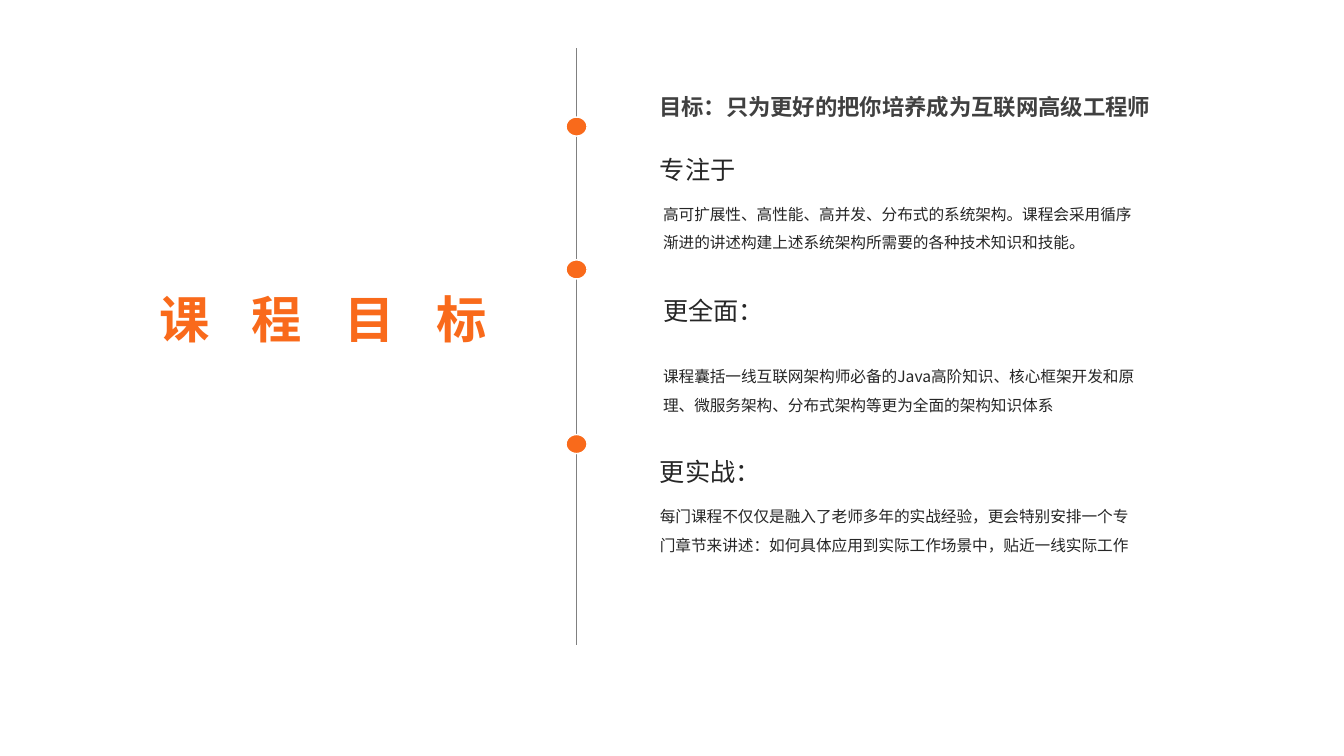
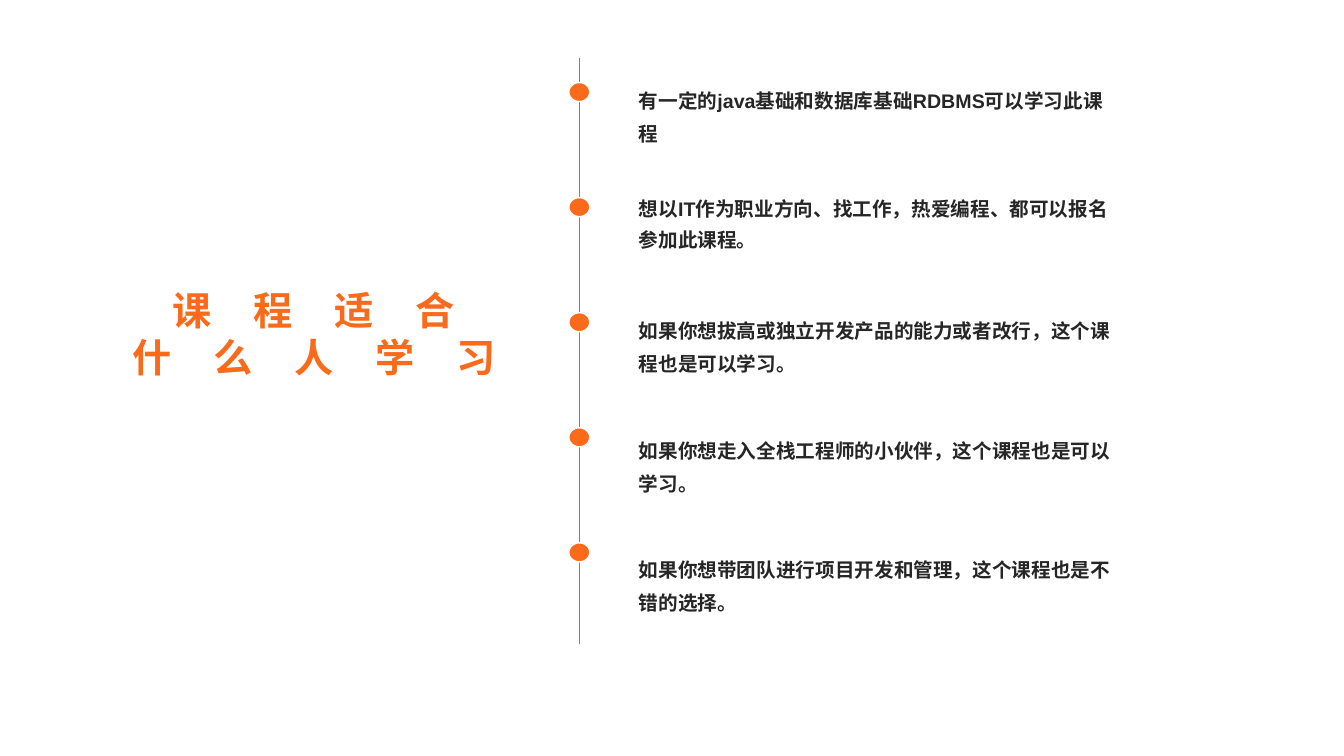
from dataclasses import dataclass

from lxml import etree
from pptx import Presentation
from pptx.dml.color import RGBColor
from pptx.enum.shapes import MSO_CONNECTOR, MSO_SHAPE
from pptx.enum.text import MSO_ANCHOR, PP_ALIGN
from pptx.oxml.ns import qn
from pptx.slide import Slide
from pptx.util import Cm, Pt

STRAIGHT = MSO_CONNECTOR.STRAIGHT
OVAL = MSO_SHAPE.OVAL
TOP, MIDDLE = MSO_ANCHOR.TOP, MSO_ANCHOR.MIDDLE
LEFT, CENTER = PP_ALIGN.LEFT, PP_ALIGN.CENTER


@dataclass(frozen=True)
class Theme:
    accent: RGBColor = RGBColor(0xF9, 0x6A, 0x1B)
    ink: RGBColor = RGBColor(0x26, 0x26, 0x26)
    goal_ink: RGBColor = RGBColor(0x40, 0x40, 0x40)
    axis: RGBColor = RGBColor(0x80, 0x80, 0x80)
    dot_edge: RGBColor = RGBColor(0xFF, 0xFF, 0xFF)
    chinese_font: str = "Noto Sans CJK SC"
    latin_font: str = "Arial"
    title_size: float = 36
    long_title_size: float = 28
    heading_size: float = 18
    goal_size: float = 16
    audience_size: float = 14
    detail_size: float = 11.2
    title_tracking: float = 30


THEME = Theme()


@dataclass(frozen=True)
class Box:
    """Position and size in centimetres."""
    left: float
    top: float
    width: float
    height: float


@dataclass(frozen=True)
class TextStyle:
    size: float
    color: RGBColor = THEME.ink
    font: str = THEME.chinese_font
    bold: bool = False
    align: PP_ALIGN = LEFT
    anchor: MSO_ANCHOR = TOP
    tracking: float = 0


@dataclass(frozen=True)
class Topic:
    heading: str
    heading_left: float
    heading_top: float
    detail: str
    detail_left: float
    detail_top: float


@dataclass(frozen=True)
class Audience:
    text: str
    top: float
    line_spacing: float = 1.4


HEADING = TextStyle(THEME.heading_size)
DETAIL = TextStyle(THEME.detail_size)
GOAL = TextStyle(THEME.goal_size, THEME.goal_ink, bold=True)
AUDIENCE = TextStyle(THEME.audience_size, font=THEME.latin_font, bold=True)

DOT_WIDTH, DOT_HEIGHT = 0.53, 0.48
AUDIENCE_DOT_TOP, AUDIENCE_DOT_STEP = 2.08, 2.9

TOPICS = (
    Topic("专注于", 16.38, 3.76,
          "高可扩展性、高性能、高并发、分布式的系统架构。课程会采用循序渐进的讲述"
          "构建上述系统架构所需要的各种技术知识和技能。", 16.46, 4.8),
    Topic("更全面：", 16.46, 7.32,
          "课程囊括一线互联网架构师必备的Java高阶知识、核心框架开发和原理、"
          "微服务架构、分布式架构等更为全面的架构知识体系", 16.46, 8.89),
    Topic("更实战：", 16.38, 11.38,
          "每门课程不仅仅是融入了老师多年的实战经验，更会特别安排一个专门章节来讲述："
          "如何具体应用到实际工作场景中，贴近一线实际工作", 16.38, 12.42),
)

AUDIENCES = (
    Audience("有一定的java基础和数据库基础RDBMS可以学习此课程", 1.88),
    Audience("想以IT作为职业方向、找工作，热爱编程、都可以报名参加此课程。", 4.67, 1.3),
    Audience("如果你想拔高或独立开发产品的能力或者改行，这个课程也是可以学习。", 7.67),
    Audience("如果你想走入全栈工程师的小伙伴，这个课程也是可以学习。", 10.69),
    Audience("如果你想带团队进行项目开发和管理，这个课程也是不错的选择。", 13.69),
)


def add_text(slide: Slide, box: Box, text: str, style: TextStyle,
             line_spacing: float = 1.0) -> None:
    frame = slide.shapes.add_textbox(
        Cm(box.left), Cm(box.top), Cm(box.width), Cm(box.height)).text_frame
    frame.word_wrap = True
    frame.vertical_anchor = style.anchor
    frame.text = text
    for paragraph in frame.paragraphs:
        paragraph.alignment = style.align
        paragraph.line_spacing = line_spacing
        for run in paragraph.runs:
            font = run.font
            font.name = style.font
            font.size = Pt(style.size)
            font.bold = style.bold
            font.color.rgb = style.color
            properties = run._r.get_or_add_rPr()
            etree.SubElement(properties, qn("a:ea"), typeface=THEME.chinese_font)
            if style.tracking:
                properties.set("spc", str(round(style.tracking * 100)))


def add_title(slide: Slide, box: Box, text: str, size: float, font: str) -> None:
    add_text(slide, box, text, TextStyle(
        size, THEME.accent, font, True, CENTER, MIDDLE, THEME.title_tracking))


def add_timeline(slide: Slide, axis_x: float, top: float, bottom: float,
                 dot_tops: list[float]) -> None:
    """Draw a vertical axis with dots centred on it."""
    axis = slide.shapes.add_connector(
        STRAIGHT, Cm(axis_x), Cm(top), Cm(axis_x), Cm(bottom))
    axis.line.color.rgb = THEME.axis
    axis.line.width = Pt(0.5)
    etree.SubElement(axis._element.spPr, qn("a:effectLst"))
    for dot_top in dot_tops:
        dot = slide.shapes.add_shape(
            OVAL, Cm(axis_x - DOT_WIDTH / 2), Cm(dot_top), Cm(DOT_WIDTH), Cm(DOT_HEIGHT))
        dot.shadow.inherit = False
        dot.fill.solid()
        dot.fill.fore_color.rgb = THEME.accent
        dot.line.color.rgb = THEME.dot_edge
        dot.line.width = Pt(1)


def build_goals(slide: Slide) -> None:
    add_title(slide, Box(3.12, 6.76, 10.06, 2.51), "课程目标",
              THEME.title_size, THEME.chinese_font)
    add_timeline(slide, 14.53, 1.22, 16.26, [2.95, 6.55, 10.95])
    add_text(slide, Box(16.36, 2.21, 16.05, 0.94),
             "目标：只为更好的把你培养成为互联网高级工程师", GOAL)
    for topic in TOPICS:
        add_text(slide, Box(topic.heading_left, topic.heading_top, 9.37, 1.04),
                 topic.heading, HEADING)
        add_text(slide, Box(topic.detail_left, topic.detail_top, 12.7, 1.93),
                 topic.detail, DETAIL, 1.5)


def build_audiences(slide: Slide) -> None:
    add_title(slide, Box(2.13, 4.67, 11.56, 7.44), "课程适合\n什么人学习",
              THEME.long_title_size, THEME.latin_font)
    add_timeline(slide, 14.6, 1.45, 16.23,
                 [AUDIENCE_DOT_TOP + AUDIENCE_DOT_STEP * i for i in range(len(AUDIENCES))])
    for audience in AUDIENCES:
        add_text(slide, Box(15.85, audience.top, 12.52, 1.9),
                 audience.text, AUDIENCE, audience.line_spacing)


def main() -> None:
    presentation = Presentation()
    presentation.slide_width = Cm(33.87)
    presentation.slide_height = Cm(19.05)
    blank = presentation.slide_layouts[6]
    for build in (build_goals, build_audiences):
        build(presentation.slides.add_slide(blank))
    presentation.save("out.pptx")


if __name__ == "__main__":
    main()
